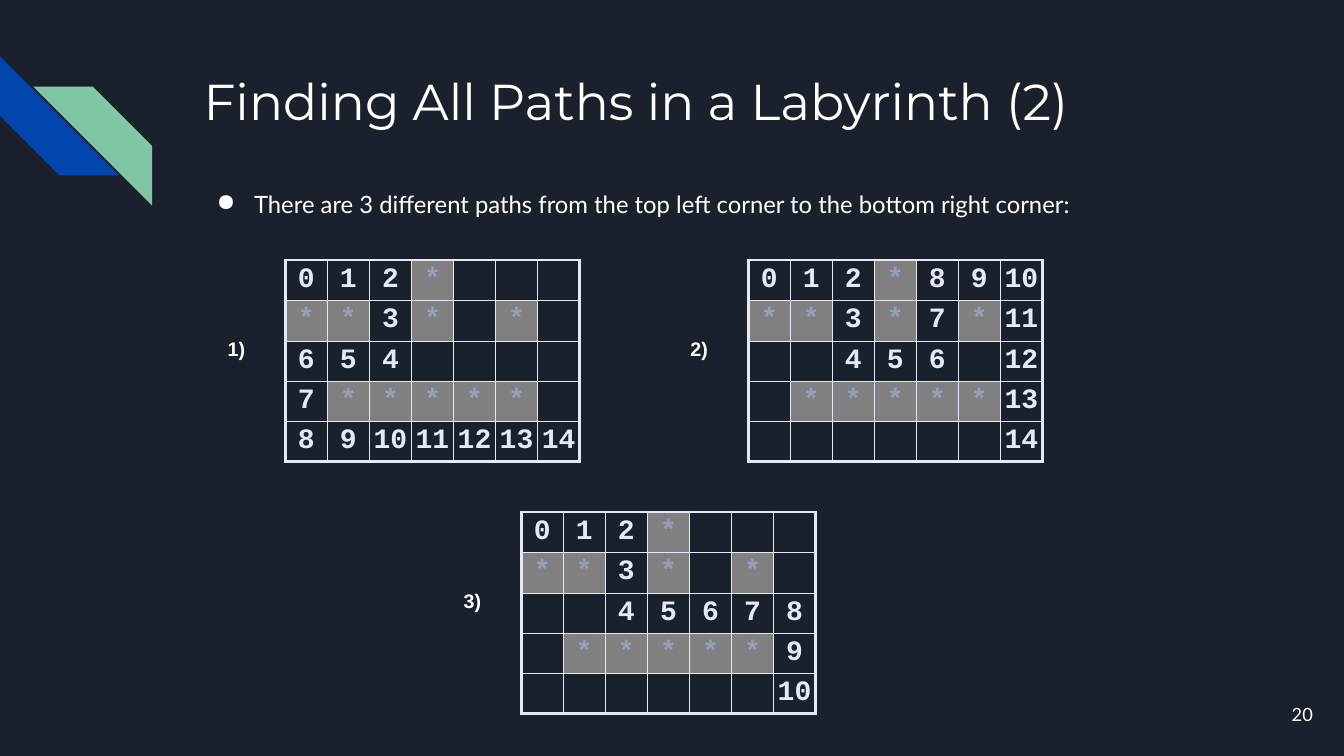
from lxml import etree
from pptx import Presentation
from pptx.dml.color import RGBColor
from pptx.enum import shapes, text
from pptx.oxml import ns
from pptx.util import Inches, Pt

COLORS = {"bg": "1B212C", "blue": "0145AC", "green": "82C7A5", "white": "FFFFFF",
          "grid": "E4E9F5", "wall": "808080", "star": "92A1BC"}
MAZE = ["   *   ",
        "** * * ",
        "       ",
        " ***** ",
        "       "]
STEPS = {"R": (0, 1), "L": (0, -1), "D": (1, 0), "U": (-1, 0)}
PATHS = [("1)", 2.83, 2.58, "RRDDLLDDRRRRRR"),
         ("2)", 7.42, 2.58, "RRDDRRUURRDDDD"),
         ("3)", 5.17, 5.08, "RRDDRRRRDD")]
COL_W, ROW_H = 2.92 / 7, 0.4


def rgb(name):
    """Return the named palette colour."""
    return RGBColor.from_string(COLORS[name])


def write(tf, words, font="Lato", size=17, color="white", bold=False,
          align=text.PP_ALIGN.LEFT, before=0):
    """Write one formatted paragraph into a text frame and return it."""
    p = tf.paragraphs[0]
    p.alignment = align
    p.space_before = Pt(before)
    r = p.add_run()
    r.text = words
    r.font.name, r.font.size, r.font.bold = font, Pt(size), bold
    r.font.color.rgb = rgb(color)
    return p


def add_text(s, words, x, y, w, h, inset=None, wrap=True,
             anchor=text.MSO_ANCHOR.TOP, **fmt):
    """Add a text box and return its paragraph."""
    tf = s.shapes.add_textbox(Inches(x), Inches(y), Inches(w), Inches(h)).text_frame
    tf.word_wrap, tf.vertical_anchor = wrap, anchor
    if inset is not None:
        tf.margin_left = tf.margin_right = Inches(inset)
        tf.margin_top = tf.margin_bottom = Inches(inset)
    return write(tf, words, **fmt)


def add_bullet(p, left, indent):
    """Give a paragraph a round white bullet with a hanging indent."""
    pPr = p._p.get_or_add_pPr()
    pPr.set("marL", str(Inches(left)))
    pPr.set("indent", str(Inches(indent)))
    color = etree.SubElement(pPr, ns.qn("a:buClr"))
    etree.SubElement(color, ns.qn("a:srgbClr"), val=COLORS["white"])
    etree.SubElement(pPr, ns.qn("a:buChar"), char="●")


def add_stripe(s, x, y, color, rotation=0, flip=False):
    """Add a diagonal corner stripe."""
    sp = s.shapes.add_shape(shapes.MSO_SHAPE.DIAGONAL_STRIPE,
                            Inches(x), Inches(y), Inches(1.18), Inches(1.18))
    sp.shadow.inherit = False
    sp.adjustments[0] = 0.5
    sp.rotation = rotation
    sp.fill.solid()
    sp.fill.fore_color.rgb = rgb(color)
    sp.line.fill.background()
    if flip:
        sp._element.spPr.find(ns.qn("a:xfrm")).set("flipH", "1")


def set_borders(cell, outer):
    """Draw thick lines on outer sides (left, right, top, bottom), thin ones elsewhere."""
    tcPr = cell._tc.get_or_add_tcPr()
    for i, (side, thick) in enumerate(zip("LRTB", outer)):
        ln = etree.Element(ns.qn(f"a:ln{side}"), w=str(Pt(2.25 if thick else 0.25)))
        fill = etree.SubElement(ln, ns.qn("a:solidFill"))
        etree.SubElement(fill, ns.qn("a:srgbClr"), val=COLORS["grid"])
        tcPr.insert(i, ln)


def number_path(moves):
    """Map each cell visited by the moves to its step number."""
    row, col = 0, 0
    steps = {(row, col): "0"}
    for n, move in enumerate(moves, 1):
        row, col = row + STEPS[move][0], col + STEPS[move][1]
        steps[row, col] = str(n)
    return steps


def add_labyrinth(s, x, y, moves):
    """Add the labyrinth table with one numbered path."""
    rows, cols = len(MAZE), len(MAZE[0])
    table = s.shapes.add_table(rows, cols, Inches(x), Inches(y),
                               Inches(cols * COL_W), Inches(rows * ROW_H)).table
    table.first_row = table.horz_banding = False
    for column in table.columns:
        column.width = Inches(COL_W)
    for row in table.rows:
        row.height = Inches(ROW_H)
    steps = number_path(moves)
    for i, line in enumerate(MAZE):
        for j, mark in enumerate(line):
            cell = table.cell(i, j)
            cell.margin_left = cell.margin_right = Inches(0.04)
            cell.margin_top = cell.margin_bottom = 0
            cell.vertical_anchor = text.MSO_ANCHOR.MIDDLE
            wall = mark == "*"
            if wall:
                cell.fill.solid()
                cell.fill.fore_color.rgb = rgb("wall")
            else:
                cell.fill.background()
            words = "*" if wall else steps.get((i, j))
            if words:
                write(cell.text_frame, words, font="Courier New", size=20, bold=True,
                      color="star" if wall else "grid",
                      align=text.PP_ALIGN.CENTER, before=6)
            set_borders(cell, (j == 0, j == cols - 1, i == 0, i == rows - 1))


def main():
    """Build the slide and save it."""
    prs = Presentation()
    prs.slide_width, prs.slide_height = Inches(13.33), Inches(7.5)
    s = prs.slides.add_slide(prs.slide_layouts[6])
    s.background.fill.solid()
    s.background.fill.fore_color.rgb = rgb("bg")

    add_stripe(s, 0, 0.56, "blue", rotation=270)
    add_stripe(s, 0.33, 0.86, "green", flip=True)
    add_text(s, "Finding All Paths in a Labyrinth (2)", 1.89, 0.57, 10.26, 1.33,
             inset=0.13, font="Montserrat", size=36)
    p = add_text(s, "There are 3 different paths from the top left corner "
                 "to the bottom right corner:", 1.89, 1.75, 10.26, 0.6, inset=0.13)
    add_bullet(p, 0.5, -0.37)
    add_text(s, "20", 12.35, 6.8, 0.8, 0.57, inset=0.13, size=13,
             anchor=text.MSO_ANCHOR.MIDDLE, align=text.PP_ALIGN.RIGHT)

    for label, x, y, moves in PATHS:
        add_labyrinth(s, x, y, moves)
        add_text(s, label, x - 0.67, y + 0.71, 0.38, 0.34, wrap=False,
                 font="Arial", size=14, bold=True)
    prs.save("out.pptx")


if __name__ == "__main__":
    main()
